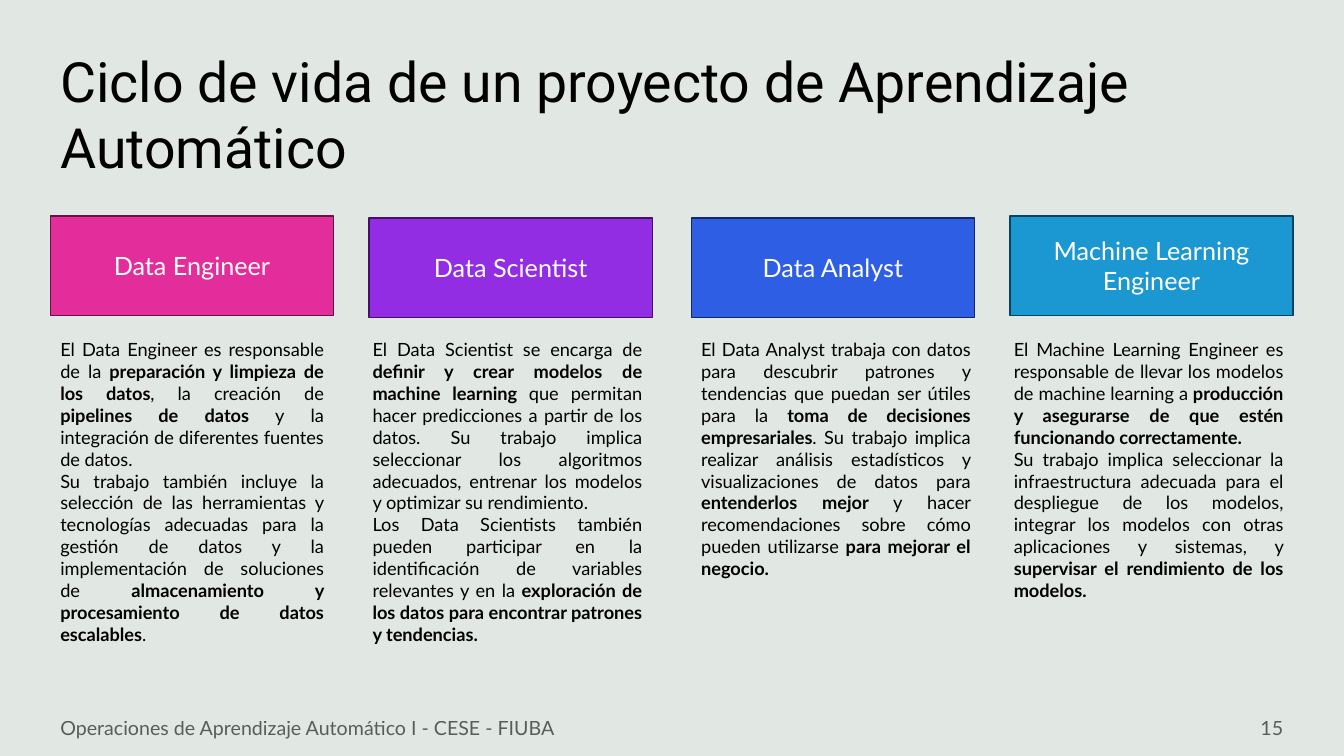
"""Build the slide on the roles in a machine learning project."""
from dataclasses import dataclass
from typing import Optional

import pptx
import pptx.dml.color
import pptx.enum.shapes
import pptx.enum.text
import pptx.oxml.ns
import pptx.util
from lxml import etree

Cm = pptx.util.Cm
RGBColor = pptx.dml.color.RGBColor
Align = pptx.enum.text.PP_ALIGN
Anchor = pptx.enum.text.MSO_ANCHOR
qn = pptx.oxml.ns.qn

BLACK = RGBColor(0x00, 0x00, 0x00)
WHITE = RGBColor(0xFF, 0xFF, 0xFF)
SAGE = RGBColor(0xD5, 0xDE, 0xD8)
PINK = RGBColor(0xE3, 0x2D, 0x9B)
DARK_PINK = RGBColor(0x63, 0x14, 0x44)
PURPLE = RGBColor(0x93, 0x2D, 0xE3)
DARK_PURPLE = RGBColor(0x40, 0x14, 0x63)
BLUE = RGBColor(0x2D, 0x5E, 0xE3)
DARK_BLUE = RGBColor(0x14, 0x29, 0x63)
CYAN = RGBColor(0x1B, 0x98, 0xD1)
DARK_CYAN = RGBColor(0x0C, 0x43, 0x5C)

SLIDE_WIDTH, SLIDE_HEIGHT = 33.87, 19.05
MARGIN = 1.27
HEADER_WIDTH, HEADER_HEIGHT = 7.14, 2.51
DESCRIPTION_TOP = 8.41
FOOTER_TOP, FOOTER_HEIGHT = 17.83, 1.02


@dataclass(frozen=True)
class Span:
    text: str
    bold: bool = False


@dataclass(frozen=True)
class Style:
    size: float
    color: RGBColor = BLACK
    font: str = "Lato"
    align: Align = Align.LEFT
    anchor: Anchor = Anchor.MIDDLE
    opacity: Optional[int] = None


@dataclass(frozen=True)
class Box:
    left: float
    top: float
    width: float
    height: float

    def lengths(self) -> tuple:
        return Cm(self.left), Cm(self.top), Cm(self.width), Cm(self.height)


Paragraphs = list[list[Span]]


@dataclass(frozen=True)
class Role:
    name: str
    fill: RGBColor
    border: RGBColor
    left: float
    top: float
    description_box: Box
    description: Paragraphs


TITLE = Style(39.6, font="Roboto")
HEADER = Style(18, WHITE, align=Align.CENTER)
DESCRIPTION = Style(13, align=Align.JUSTIFY, anchor=Anchor.TOP)
FOOTER = Style(14, opacity=60)
PAGE_NUMBER = Style(14, align=Align.RIGHT, opacity=60)

ROLES = [
    Role("Data Engineer", PINK, DARK_PINK, MARGIN, 5.44,
         Box(MARGIN, DESCRIPTION_TOP, 7.14, 8.03), [
             [Span("El Data Engineer es responsable de la "),
              Span("preparación y limpieza de los datos", True),
              Span(", la creación de "),
              Span("pipelines de datos ", True),
              Span("y la integración de diferentes fuentes de datos. ")],
             [Span("Su trabajo también incluye la selección de las herramientas y "
                   "tecnologías adecuadas para la gestión de datos y la "
                   "implementación de soluciones de "),
              Span("almacenamiento y procesamiento de datos escalables", True),
              Span(".")]]),
    Role("Data Scientist", PURPLE, DARK_PURPLE, 9.3, 5.49,
         Box(9.14, DESCRIPTION_TOP, 7.29, 8.59), [
             [Span("El Data Scientist se encarga de "),
              Span("definir y crear modelos de machine learning ", True),
              Span("que permitan hacer predicciones a partir de los datos. Su "
                   "trabajo implica seleccionar los algoritmos adecuados, "
                   "entrenar los modelos y optimizar su rendimiento.")],
             [Span("Los Data Scientists también pueden participar en la "
                   "identificación de variables relevantes y en la "),
              Span("exploración de los datos para encontrar patrones y "
                   "tendencias.", True)]]),
    Role("Data Analyst", BLUE, DARK_BLUE, 17.42, 5.49,
         Box(17.42, DESCRIPTION_TOP, 7.29, 6.38), [
             [Span("El Data Analyst trabaja con datos para descubrir patrones y "
                   "tendencias que puedan ser útiles para la "),
              Span("toma de decisiones empresariales", True),
              Span(". Su trabajo implica realizar análisis estadísticos y "
                   "visualizaciones de datos para "),
              Span("entenderlos mejor ", True),
              Span("y hacer recomendaciones sobre cómo pueden utilizarse "),
              Span("para mejorar el negocio.", True)]]),
    Role("Machine Learning Engineer", CYAN, DARK_CYAN, 25.45, 5.44,
         Box(25.3, DESCRIPTION_TOP, 7.29, 7.49), [
             [Span("El Machine Learning Engineer es responsable de llevar los "
                   "modelos de machine learning a "),
              Span("producción y asegurarse de que estén funcionando "
                   "correctamente. ", True)],
             [Span("Su trabajo implica seleccionar la infraestructura adecuada "
                   "para el despliegue de los modelos, integrar los modelos con "
                   "otras aplicaciones y sistemas, y "),
              Span("supervisar el rendimiento de los modelos.", True)]]),
]


def set_opacity(element, percent: int) -> None:
    """Make the first colour inside an element partly transparent."""
    color = element.find(".//" + qn("a:srgbClr"))
    etree.SubElement(color, qn("a:alpha")).set("val", str(percent * 1000))


def write(frame, paragraphs: Paragraphs, style: Style) -> None:
    """Write styled paragraphs into a text frame."""
    frame.word_wrap = True
    frame.vertical_anchor = style.anchor
    for index, spans in enumerate(paragraphs):
        paragraph = frame.add_paragraph() if index else frame.paragraphs[0]
        paragraph.alignment = style.align
        for span in spans:
            run = paragraph.add_run()
            run.text = span.text
            run.font.name = style.font
            run.font.size = pptx.util.Pt(style.size)
            run.font.bold = span.bold
            run.font.color.rgb = style.color
            if style.opacity is not None:
                set_opacity(run._r, style.opacity)


def add_text(slide, box: Box, paragraphs: Paragraphs, style: Style) -> None:
    """Add a text box."""
    write(slide.shapes.add_textbox(*box.lengths()).text_frame, paragraphs, style)


def add_panel(slide, box: Box, fill: RGBColor):
    """Add a filled rectangle without a shadow."""
    panel = slide.shapes.add_shape(
        pptx.enum.shapes.MSO_SHAPE.RECTANGLE, *box.lengths())
    panel.shadow.inherit = False
    panel.fill.solid()
    panel.fill.fore_color.rgb = fill
    return panel


def add_role(slide, role: Role) -> None:
    """Add the header and the description of a role."""
    header = add_panel(
        slide, Box(role.left, role.top, HEADER_WIDTH, HEADER_HEIGHT), role.fill)
    header.line.color.rgb = role.border
    header.line.width = pptx.util.Pt(1)
    write(header.text_frame, [[Span(role.name)]], HEADER)
    add_text(slide, role.description_box, role.description, DESCRIPTION)


def main() -> None:
    """Build and save the presentation."""
    deck = pptx.Presentation()
    deck.slide_width, deck.slide_height = Cm(SLIDE_WIDTH), Cm(SLIDE_HEIGHT)
    slide = deck.slides.add_slide(deck.slide_layouts[6])
    backdrop = add_panel(slide, Box(0, 0, SLIDE_WIDTH, SLIDE_HEIGHT), SAGE)
    backdrop.line.fill.background()
    set_opacity(backdrop._element, 70)
    add_text(slide, Box(MARGIN, 1.02, 30.28, 3.68),
             [[Span("Ciclo de vida de un proyecto de Aprendizaje Automático")]], TITLE)
    for role in ROLES:
        add_role(slide, role)
    add_text(slide, Box(MARGIN, FOOTER_TOP, 16.54, FOOTER_HEIGHT),
             [[Span("Operaciones de Aprendizaje Automático I - CESE - FIUBA")]], FOOTER)
    add_text(slide, Box(24.97, FOOTER_TOP, 7.62, FOOTER_HEIGHT),
             [[Span("15")]], PAGE_NUMBER)
    deck.save("out.pptx")


if __name__ == "__main__":
    main()
